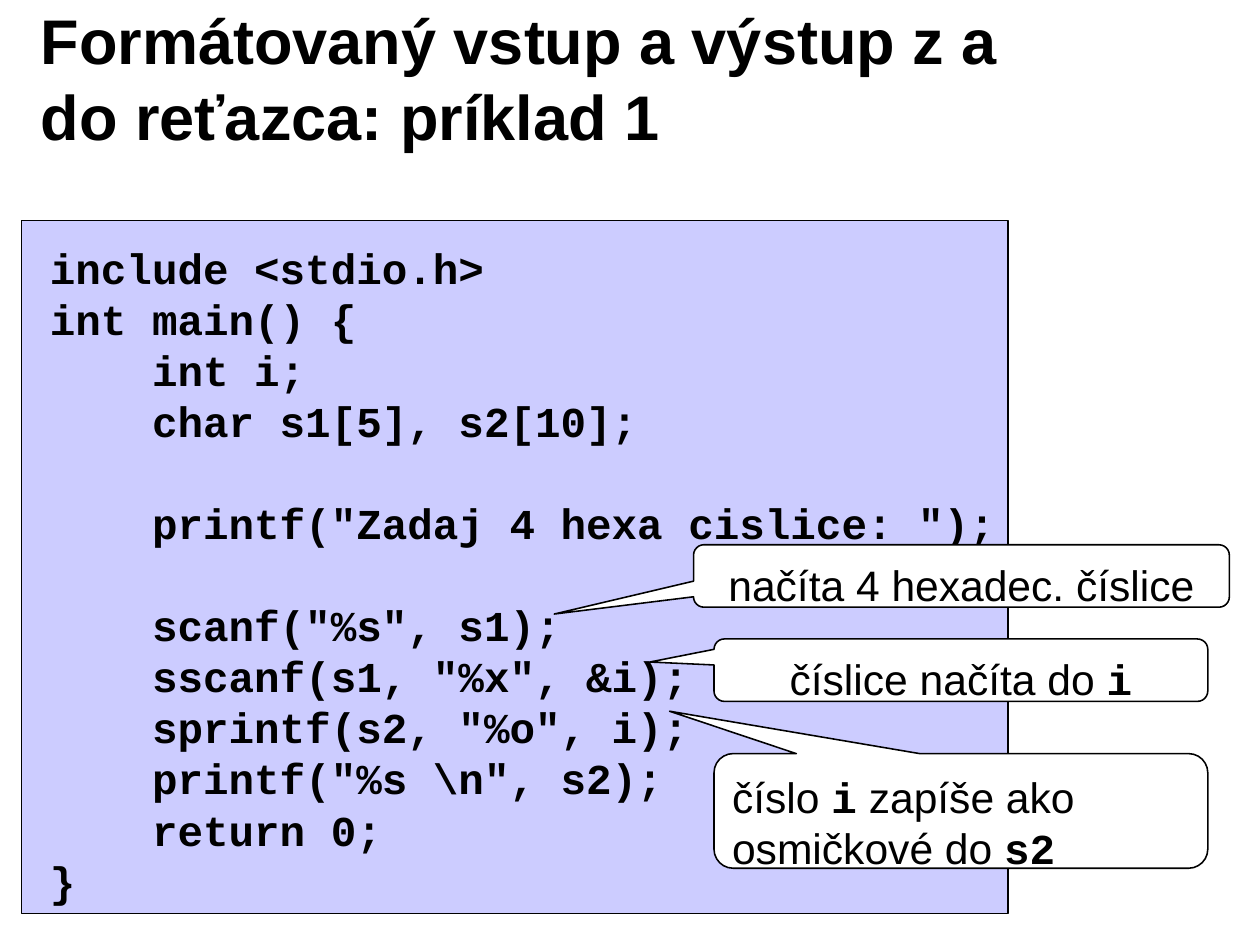
from pptx import Presentation
from pptx.dml.color import RGBColor
from pptx.enum.shapes import MSO_SHAPE
from pptx.enum.text import MSO_ANCHOR, MSO_AUTO_SIZE, PP_ALIGN
from pptx.util import Inches, Pt

CODE = r'''include <stdio.h>
int main() {
    int i;
    char s1[5], s2[10];

    printf("Zadaj 4 hexa cislice: ");

    scanf("%s", s1);
    sscanf(s1, "%x", &i);
    sprintf(s2, "%o", i);
    printf("%s \n", s2);
    return 0;
}'''
BODY_SIZE = 27
TITLE_SIZE = 40
LINE_RATIO = 1.2


def color(value):
    return RGBColor.from_string(value)


def set_frame(frame, anchor, wrap=True, top=0.1):
    frame.word_wrap = wrap
    frame.auto_size = MSO_AUTO_SIZE.NONE
    frame.vertical_anchor = anchor
    frame.margin_left = frame.margin_right = Inches(0.11)
    frame.margin_top = Inches(top)
    frame.margin_bottom = Inches(0.06)


def set_paragraph(paragraph, size, align=PP_ALIGN.LEFT):
    paragraph.alignment = align
    paragraph.line_spacing = Pt(size * LINE_RATIO)
    paragraph.space_before = paragraph.space_after = Pt(0)


def add_run(paragraph, text, size=BODY_SIZE, font="Arial", bold=False):
    run = paragraph.add_run()
    run.text = text
    run.font.size = Pt(size)
    run.font.name = font
    run.font.bold = bold
    run.font.color.rgb = color("000000")


def add_code_run(paragraph, text):
    add_run(paragraph, text, font="Courier New", bold=True)


def add_title(slide, text):
    title = slide.shapes.title
    title.left, title.top = Inches(0.25), Inches(0.17)
    title.width, title.height = Inches(8.91), Inches(1.02)
    set_frame(title.text_frame, MSO_ANCHOR.MIDDLE, top=0.06)
    paragraph = title.text_frame.paragraphs[0]
    set_paragraph(paragraph, TITLE_SIZE)
    add_run(paragraph, text, TITLE_SIZE, bold=True)


def add_box(slide, kind, bounds, fill, line_width):
    shape = slide.shapes.add_shape(kind, *map(Inches, bounds))
    shape.shadow.inherit = False
    shape.fill.solid()
    shape.fill.fore_color.rgb = color(fill)
    shape.line.color.rgb = color("000000")
    shape.line.width = Pt(line_width)
    return shape


def add_code(slide, code):
    add_box(slide, MSO_SHAPE.RECTANGLE, (0.19, 1.94, 8.69, 6.11), "CCCCFF", 0.75)
    bounds = map(Inches, (0.33, 2.03, 8.55, 5.97))
    frame = slide.shapes.add_textbox(*bounds).text_frame
    set_frame(frame, MSO_ANCHOR.TOP, wrap=False)
    for index, line in enumerate(code.split("\n")):
        paragraph = frame.add_paragraph() if index else frame.paragraphs[0]
        set_paragraph(paragraph, BODY_SIZE)
        if line:
            add_code_run(paragraph, line)


def add_callout(slide, bounds, pointer, parts, align=PP_ALIGN.CENTER):
    callout = add_box(slide, MSO_SHAPE.ROUNDED_RECTANGULAR_CALLOUT, bounds, "FFFFFF", 1)
    callout.adjustments[0], callout.adjustments[1] = pointer
    set_frame(callout.text_frame, MSO_ANCHOR.TOP)
    paragraph = callout.text_frame.paragraphs[0]
    set_paragraph(paragraph, BODY_SIZE, align)
    for index, part in enumerate(parts):
        add_part = add_code_run if index % 2 else add_run
        add_part(paragraph, part)


def main():
    presentation = Presentation()
    presentation.slide_width = Inches(11.1)
    presentation.slide_height = Inches(8.3)
    slide = presentation.slides.add_slide(presentation.slide_layouts[5])
    add_title(slide, "Formátovaný vstup a výstup z a do reťazca: príklad 1")
    add_code(slide, CODE)
    add_callout(slide, (6.11, 4.8, 4.72, 0.55), (-0.76, 0.61),
                ["načíta 4 hexadec. číslice"])
    add_callout(slide, (6.29, 5.63, 4.35, 0.55), (-0.63, -0.13),
                ["číslice načíta do ", "i"])
    add_callout(slide, (6.29, 6.64, 4.35, 1.01), (-0.59, -0.87),
                ["číslo ", "i", " zapíše ako osmičkové do ", "s2"], PP_ALIGN.LEFT)
    presentation.save("out.pptx")


if __name__ == "__main__":
    main()
